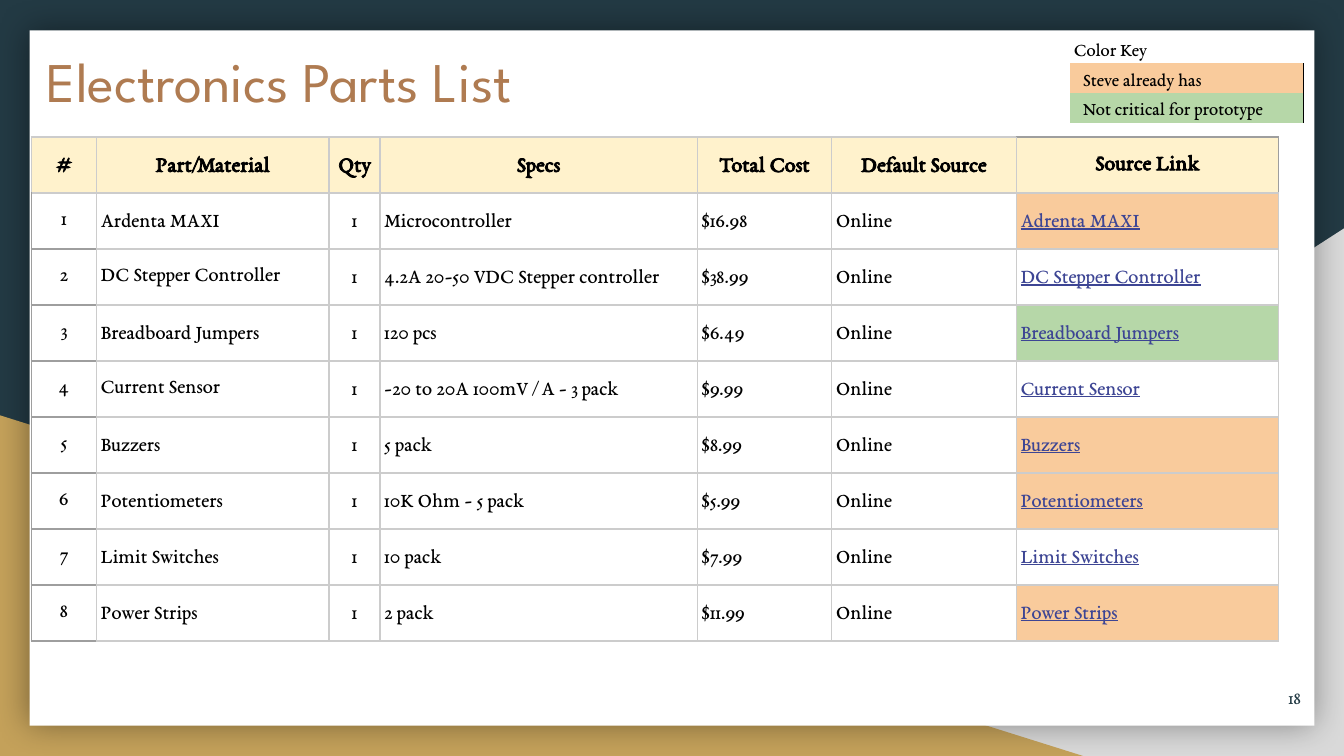
from lxml import etree
from pptx import Presentation
from pptx import util as u
from pptx.dml.color import RGBColor
from pptx.enum import shapes, text
from pptx.oxml import ns

COLS = 1000
ROWS = COLS * 9 / 16
NAVY = RGBColor(0x23, 0x3A, 0x44)
GREY = RGBColor(0xD9, 0xD9, 0xD9)
GOLD = RGBColor(0xC4, 0xA1, 0x5A)
WHITE = RGBColor(0xFF, 0xFF, 0xFF)
BLACK = RGBColor(0, 0, 0)
COPPER = RGBColor(0xAF, 0x7B, 0x51)
CREAM = RGBColor(0xFF, 0xF2, 0xCC)
ORANGE = RGBColor(0xF9, 0xCB, 0x9C)
GREEN = RGBColor(0xB6, 0xD7, 0xA8)
LINK = RGBColor(0x3D, 0x45, 0x94)
LIGHT = RGBColor(0xCC, 0xCC, 0xCC)
DARK = RGBColor(0x9E, 0x9E, 0x9E)
BODY, HEAD = "EB Garamond", "League Spartan"
CENTER, LEFT, RIGHT = text.PP_ALIGN.CENTER, text.PP_ALIGN.LEFT, text.PP_ALIGN.RIGHT
MIDDLE, BOTTOM, TOP = text.MSO_ANCHOR.MIDDLE, text.MSO_ANCHOR.BOTTOM, text.MSO_ANCHOR.TOP
NARROW, WIDE = (2.25, 1.5), (7.2, 7.2)
KEY_TITLE, KEY_ENTRY = (2.25, 1.1), (7.2, 1.1)

COL_WIDTHS = [48.5, 173, 38, 236, 100, 137.5, 195]
HEADERS = ["#", "Part/Material", "Qty", "Specs", "Total Cost", "Default Source", "Source Link"]
SHOP = "Online"
PARTS = [
    ("Ardenta MAXI", "Microcontroller", "$16.98", "Adrenta MAXI", ORANGE),
    ("DC Stepper Controller", "4.2A 20-50 VDC Stepper controller", "$38.99", "DC Stepper Controller", None),
    ("Breadboard Jumpers", "120 pcs", "$6.49", "Breadboard Jumpers", GREEN),
    ("Current Sensor", "-20 to 20A 100mV / A - 3 pack", "$9.99", "Current Sensor", None),
    ("Buzzers", "5 pack", "$8.99", "Buzzers", ORANGE),
    ("Potentiometers", "10K Ohm - 5 pack", "$5.99", "Potentiometers", ORANGE),
    ("Limit Switches", "10 pack", "$7.99", "Limit Switches", None),
    ("Power Strips", "2 pack", "$11.99", "Power Strips", ORANGE),
]
SINGLE_SPACED = ("DC Stepper Controller", "Current Sensor")
KEY = [("Color Key", None, KEY_TITLE), ("Steve already has", ORANGE, KEY_ENTRY),
       ("Not critical for prototype", GREEN, KEY_ENTRY)]


def grid(prs, box):
    """Turn a box in grid columns and rows into slide lengths."""
    x, y, w, h = box
    col, row = prs.slide_width / COLS, prs.slide_height / ROWS
    return [u.Emu(round(v)) for v in (x * col, y * row, w * col, h * row)]


def style(p, size, color, font=BODY, align=LEFT, bold=False, underline=False):
    """Format a paragraph and its runs."""
    p.alignment = align
    for r in p.runs:
        r.font.name, r.font.size = font, u.Pt(size)
        r.font.bold, r.font.underline = bold, underline
        r.font.color.rgb = color


def add_block(prs, s, kind, box, color):
    """Add a plain filled shape without outline."""
    sp = s.shapes.add_shape(kind, *grid(prs, box))
    sp.shadow.inherit = False
    sp.fill.solid()
    sp.fill.fore_color.rgb = color
    sp.line.fill.background()
    return sp


def add_backdrop(prs, s, card):
    """Draw the corner triangles and the shadowed card."""
    s.background.fill.solid()
    s.background.fill.fore_color.rgb = NAVY
    triangle = shapes.MSO_SHAPE.RIGHT_TRIANGLE
    corner = add_block(prs, s, triangle, (392, 170, 608, ROWS - 170), GREY)
    corner._element.spPr.xfrm.set("flipH", "1")
    add_block(prs, s, triangle, (0, 309, 806, ROWS - 309), GOLD)
    sp = add_block(prs, s, shapes.MSO_SHAPE.RECTANGLE, card, WHITE)
    effects = sp._element.spPr.find(ns.qn("a:effectLst"))
    shadow = etree.SubElement(effects, ns.qn("a:outerShdw"), blurRad=str(u.Pt(18)), dist="0",
                              algn="ctr", rotWithShape="0")
    color = etree.SubElement(shadow, ns.qn("a:srgbClr"), val=str(BLACK))
    etree.SubElement(color, ns.qn("a:alpha"), val="40000")


def add_label(prs, s, box, words, anchor, **look):
    """Place one line of text in a box."""
    tf = s.shapes.add_textbox(*grid(prs, box)).text_frame
    tf.word_wrap, tf.vertical_anchor = True, anchor
    tf.margin_left = tf.margin_right = tf.margin_top = tf.margin_bottom = u.Inches(0.1)
    tf.text = words
    style(tf.paragraphs[0], **look)


def add_grid_table(prs, s, box, n_rows, widths):
    """Add an unbanded table with the given column widths."""
    table = s.shapes.add_table(n_rows, len(widths), *grid(prs, box)).table
    table.first_row = table.horz_banding = False
    for column, width in zip(table.columns, widths):
        column.width = grid(prs, (0, 0, width, 0))[2]
    return table


def set_borders(cell, colors):
    """Set left, right, top and bottom borders, None meaning no line."""
    tc_pr = cell._tc.get_or_add_tcPr()
    for side, color in zip("LRTB", colors):
        ln = etree.SubElement(tc_pr, ns.qn(f"a:ln{side}"), w=str(u.Pt(0.75)))
        if color is None:
            etree.SubElement(ln, ns.qn("a:noFill"))
        else:
            solid = etree.SubElement(ln, ns.qn("a:solidFill"))
            etree.SubElement(solid, ns.qn("a:srgbClr"), val=str(color))


def fill_cell(cell, words, fill, borders, margins, anchor, spacing, **look):
    """Write and format one table cell."""
    set_borders(cell, borders)
    if fill is None:
        cell.fill.background()
    else:
        cell.fill.solid()
        cell.fill.fore_color.rgb = fill
    cell.margin_left = cell.margin_right = u.Pt(margins[0])
    cell.margin_top = cell.margin_bottom = u.Pt(margins[1])
    cell.vertical_anchor = anchor
    cell.text_frame.text = words
    p = cell.text_frame.paragraphs[0]
    p.line_spacing = spacing
    style(p, **look)


def add_parts_table(prs, s, box):
    """Fill the parts list, one row a part."""
    table = add_grid_table(prs, s, box, len(PARTS) + 1, COL_WIDTHS)
    last = len(HEADERS) - 1
    for c, words in enumerate(HEADERS):
        end = c == last
        edge = DARK if end else LIGHT
        fill_cell(table.cell(0, c), words, CREAM, (LIGHT, edge, edge, LIGHT),
                  WIDE if end else NARROW, MIDDLE, 1.0 if end else 1.15,
                  size=12, color=BLACK, align=CENTER, bold=True)
    for n, (part, specs, cost, link, mark) in enumerate(PARTS, 1):
        for c, words in enumerate((str(n), part, "1", specs, cost, SHOP, link)):
            number, linked = c == 0, c == last
            borders = (DARK, LIGHT, LIGHT if n == 1 else DARK, DARK) if number else (LIGHT,) * 4
            fill = None if number else mark if linked else WHITE
            single = number or (c == 1 and words in SINGLE_SPACED)
            fill_cell(table.cell(n, c), words, fill, borders, WIDE if number else NARROW,
                      MIDDLE, 1.0 if single else 1.15, size=11,
                      color=LINK if linked else BLACK, underline=linked,
                      align=CENTER if c in (0, 2) else LEFT)


def add_color_key(prs, s, box):
    """Fill the key to the cell colours."""
    table = add_grid_table(prs, s, box, len(KEY), [box[2]])
    for n, (words, fill, margins) in enumerate(KEY):
        borders = (None, BLACK if fill else None, None, None)
        fill_cell(table.cell(n, 0), words, fill, borders, margins, BOTTOM, 1.15,
                  size=10, color=BLACK)


def main():
    """Build and save the slide."""
    prs = Presentation()
    prs.slide_width = u.Inches(10)
    prs.slide_height = prs.slide_width * 9 // 16
    s = prs.slides.add_slide(prs.slide_layouts[6])
    add_backdrop(prs, s, (22, 22.5, 956, 517.5))
    add_label(prs, s, (25, 25, 832, 67), "Electronics Parts List", TOP,
              size=30, color=COPPER, font=HEAD)
    add_label(prs, s, (918, 497.5, 60, 43), "18", MIDDLE, size=10, color=NAVY, align=RIGHT)
    add_parts_table(prs, s, (23.3, 102, sum(COL_WIDTHS), 375))
    add_color_key(prs, s, (796, 25, 174, 66))
    prs.save("out.pptx")


if __name__ == "__main__":
    main()
